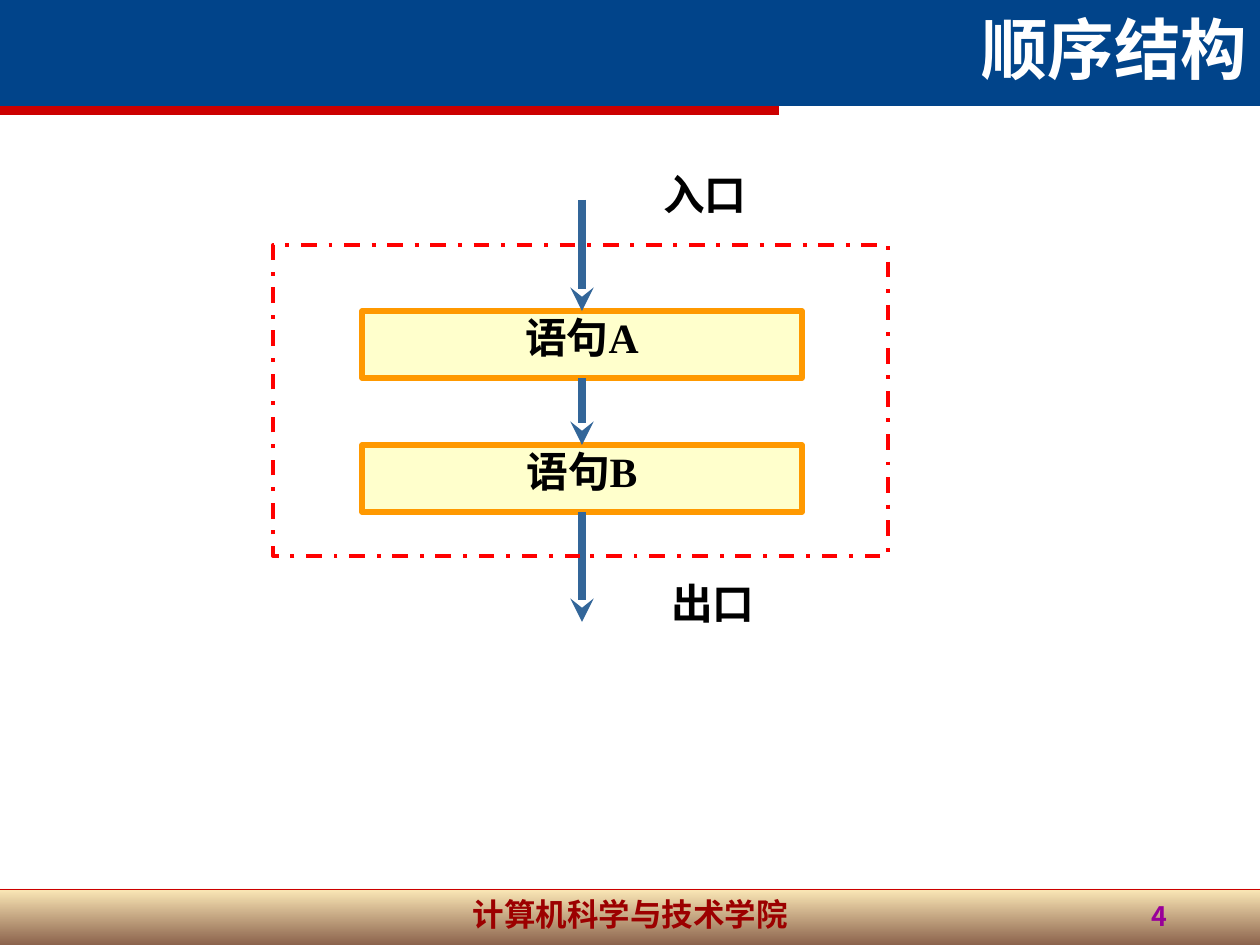
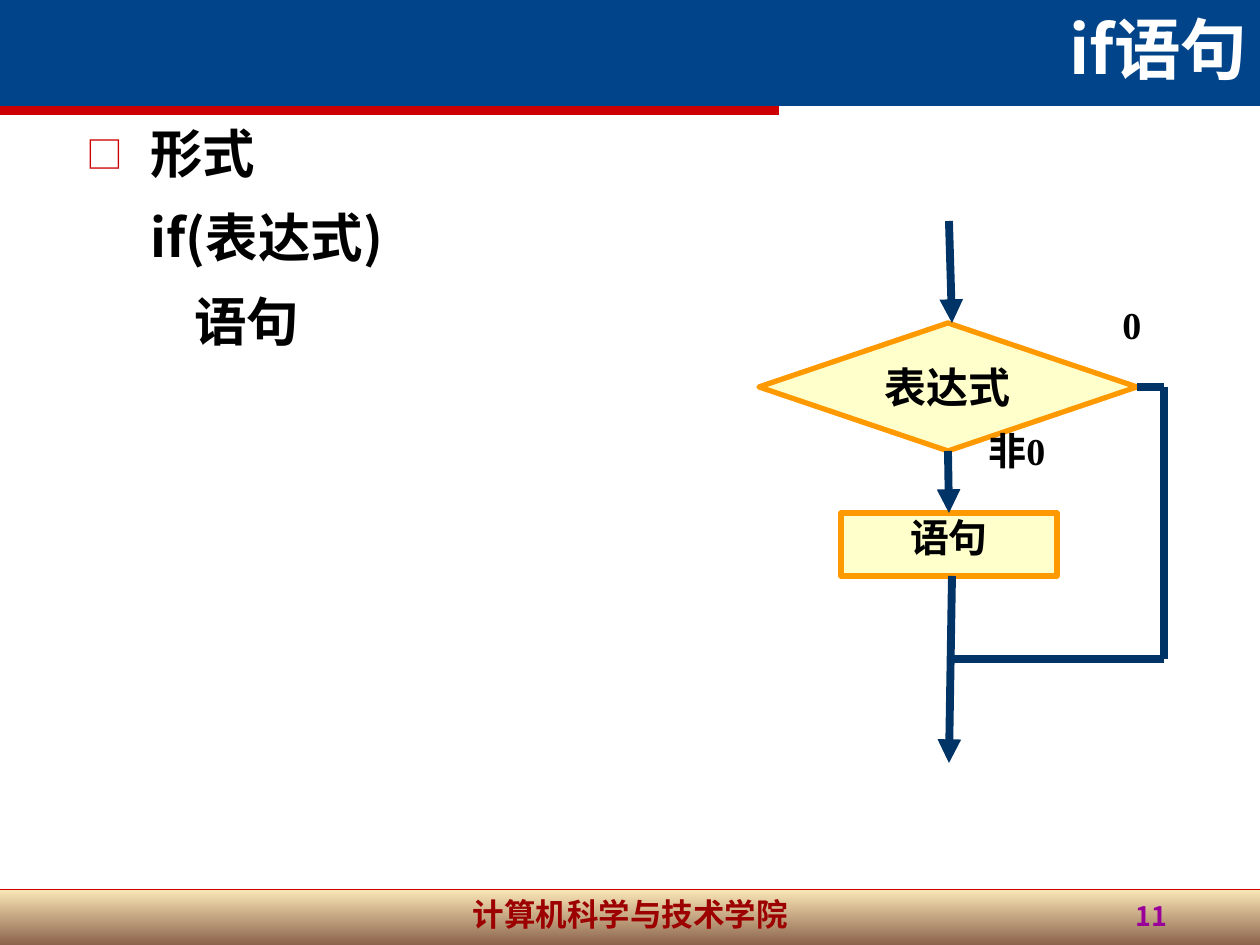
import pptx
import pptx.util
import pptx.dml.color
import pptx.enum.dml
import pptx.enum.shapes
import pptx.enum.text
import pptx.oxml.ns
from lxml import etree

RGBColor = pptx.dml.color.RGBColor
NAVY = RGBColor(0x01, 0x44, 0x8A)
RED = RGBColor(0xCC, 0x00, 0x00)
FRAME_RED = RGBColor(0xFF, 0x00, 0x00)
MAROON = RGBColor(0x9C, 0x00, 0x00)
PURPLE = RGBColor(0x99, 0x00, 0x99)
SAND = RGBColor(0xFC, 0xE2, 0xA0)
BROWN = RGBColor(0x66, 0x30, 0x12)
CREAM = RGBColor(0xFF, 0xFF, 0xCC)
ORANGE = RGBColor(0xFF, 0x99, 0x00)
STEEL = RGBColor(0x33, 0x66, 0x99)
DARK_BLUE = RGBColor(0x00, 0x33, 0x66)
BLACK = RGBColor(0x00, 0x00, 0x00)
WHITE = RGBColor(0xFF, 0xFF, 0xFF)

SANS = "Noto Sans CJK SC"
SERIF = "Times New Roman"
PX = 914400 / 126
SHAPE = pptx.enum.shapes.MSO_SHAPE
ALIGN = pptx.enum.text.PP_ALIGN
ANCHOR = pptx.enum.text.MSO_ANCHOR
qn = pptx.oxml.ns.qn


def write(box, lines, size, color=BLACK, font=SERIF, align=ALIGN.CENTER, spacing=None, anchor=ANCHOR.TOP):
    frame = box.text_frame
    frame.word_wrap = True
    frame.vertical_anchor = anchor
    frame.text = lines
    for para in frame.paragraphs:
        para.alignment = align
        para.line_spacing = spacing
        para.font.size = pptx.util.Pt(size)
        para.font.bold = True
        para.font.name = font
        para.font.color.rgb = color
        defaults = para._p.pPr.find(qn("a:defRPr"))
        etree.SubElement(defaults, qn("a:ea"), typeface=SANS)


def draw_line(page, ends, color, width=4.5, head=None):
    line = page.shapes.add_connector(
        pptx.enum.shapes.MSO_CONNECTOR.STRAIGHT, *[round(end * PX) for end in ends])
    line.line.color.rgb = color
    line.line.width = pptx.util.Pt(width)
    if head:
        etree.SubElement(line.line._get_or_add_ln(), qn("a:tailEnd"), type=head)
    etree.SubElement(line._element.spPr, qn("a:effectLst"))
    return line


deck = pptx.Presentation()
deck.slide_width = round(1260 * PX)
deck.slide_height = round(945 * PX)

pages = []
for title, number in [("顺序结构", "4"), ("if语句", "11")]:
    page = deck.slides.add_slide(deck.slide_layouts[6])
    pages.append(page)
    for top, width, height, color in [(889, 1260, 56, None), (0, 1260, 106, NAVY), (106, 779, 9, RED)]:
        band = page.shapes.add_shape(
            SHAPE.RECTANGLE, 0, round(top * PX), round(width * PX), round(height * PX))
        band.shadow.inherit = False
        band.line.fill.background()
        if color:
            band.fill.solid()
            band.fill.fore_color.rgb = color
        else:
            band.fill.gradient()
            band.fill.gradient_angle = 270
            for stop, shade in zip(band.fill.gradient_stops, (SAND, BROWN)):
                stop.color.rgb = shade
            for shade in band._element.spPr.iter(qn("a:srgbClr")):
                etree.SubElement(shade, qn("a:alpha"), val="75000")
    draw_line(page, (0, 889, 1260, 889), RED, 0.25)
    for place, text, size, color, align, anchor in [
        ((431, 889, 399, 56), "计算机科学与技术学院", 18, MAROON, ALIGN.CENTER, ANCHOR.TOP),
        ((392, 0, 868, 94), title, 38, WHITE, ALIGN.RIGHT, ANCHOR.BOTTOM),
        ((907, 893, 273, 55), number, 15.3, PURPLE, ALIGN.RIGHT, ANCHOR.TOP),
    ]:
        box = page.shapes.add_textbox(*[round(length * PX) for length in place])
        write(box, text, size, color, SANS, align, anchor=anchor)

sequence, branch = pages

body = branch.shapes.add_textbox(*[round(length * PX) for length in (74, 115, 1103, 764)])
write(body, "形式\nif(表达式)\n语句", 30, font=SANS, align=ALIGN.LEFT)
for index, (para, margin) in enumerate(zip(body.text_frame.paragraphs, (64, 64, 108))):
    properties = para._p.pPr
    properties.set("marL", str(round(margin * PX)))
    properties.set("indent", "0")
    if index:
        para.space_before = pptx.util.Pt(12)
    else:
        properties.set("indent", str(round(-margin * PX)))
        bullet_color = etree.Element(qn("a:buClr"))
        etree.SubElement(bullet_color, qn("a:srgbClr"), val=str(RED))
        defaults = properties.find(qn("a:defRPr"))
        defaults.addprevious(bullet_color)
        for tag, key, value in [("a:buSzPct", "val", "70000"),
                                ("a:buFont", "typeface", SANS),
                                ("a:buChar", "char", "□")]:
            bullet = etree.Element(qn(tag))
            bullet.set(key, value)
            defaults.addprevious(bullet)

nodes = []
for page, kind, place, text, size, spacing in [
    (sequence, SHAPE.FLOWCHART_PROCESS, (362, 311, 440, 67), "语句A", 23.8, 0.9),
    (sequence, SHAPE.FLOWCHART_PROCESS, (362, 445, 440, 67), "语句B", 23.8, 0.9),
    (branch, SHAPE.FLOWCHART_DECISION, (759, 323, 378, 128), "表达式", 24, None),
    (branch, SHAPE.FLOWCHART_PROCESS, (841, 513, 216, 63), "语句", 22.2, 0.9),
]:
    node = page.shapes.add_shape(kind, *[round(length * PX) for length in place])
    node.shadow.inherit = False
    node.fill.solid()
    node.fill.fore_color.rgb = CREAM
    node.line.color.rgb = ORANGE
    node.line.width = pptx.util.Pt(3)
    write(node, text, size, spacing=spacing)
    nodes.append(node)
statement_a, statement_b, condition, statement = nodes

for page, ends, color, head, source, source_side, target in [
    (sequence, (582, 200, 582, 311), STEEL, "stealth", None, None, statement_a),
    (sequence, (582, 378, 582, 445), STEEL, "stealth", statement_a, 2, statement_b),
    (sequence, (582, 512, 582, 622), STEEL, "stealth", statement_b, 2, None),
    (branch, (949, 221, 952, 323), DARK_BLUE, "triangle", None, None, None),
    (branch, (948, 451, 949, 513), DARK_BLUE, "triangle", condition, 2, statement),
    (branch, (952, 576, 949, 763), DARK_BLUE, "triangle", None, None, None),
    (branch, (1137, 387, 1164, 387), DARK_BLUE, None, condition, 3, None),
    (branch, (1164, 387, 1164, 659), DARK_BLUE, None, None, None, None),
    (branch, (949, 659, 1164, 659), DARK_BLUE, None, None, None, None),
]:
    line = draw_line(page, ends, color, head=head)
    if source:
        line.begin_connect(source, source_side)
    if target:
        line.end_connect(target, 0)

border = sequence.shapes.add_shape(
    SHAPE.RECTANGLE, *[round(length * PX) for length in (273, 245, 615, 311)])
border.shadow.inherit = False
border.fill.background()
border.line.color.rgb = FRAME_RED
border.line.width = pptx.util.Pt(2.25)
border.line.dash_style = pptx.enum.dml.MSO_LINE.DASH_DOT

for page, place, text, size, align, spacing in [
    (sequence, (617, 168, 176, 67), "入口", 23.8, ALIGN.CENTER, 0.9),
    (sequence, (625, 577, 176, 67), "出口", 23.8, ALIGN.CENTER, 0.9),
    (branch, (976, 430, 107, 63), "非0", 21.7, ALIGN.JUSTIFY, 0.8),
    (branch, (1110, 304, 107, 63), "0", 21.7, ALIGN.JUSTIFY, 0.8),
]:
    label = page.shapes.add_textbox(*[round(length * PX) for length in place])
    write(label, text, size, align=align, spacing=spacing)

deck.save("out.pptx")
